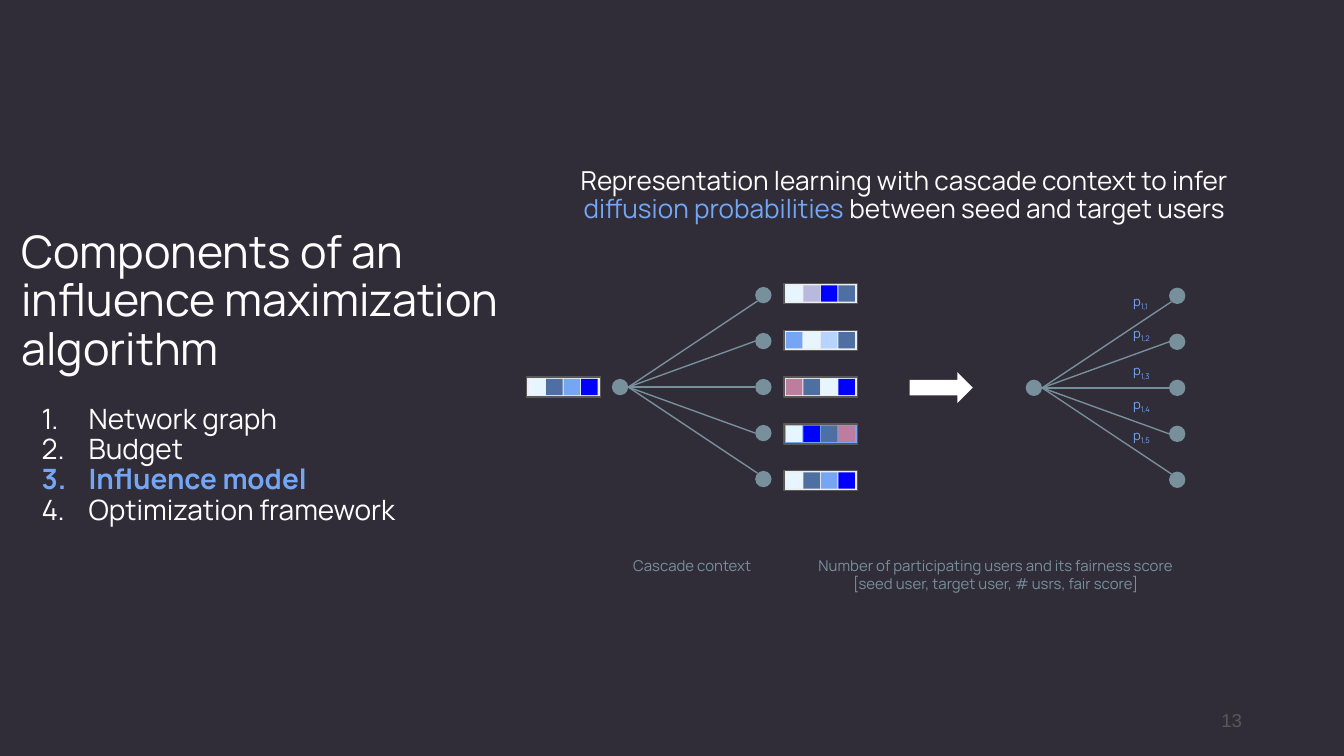
from lxml import etree
from pptx import Presentation
from pptx.dml.color import RGBColor
from pptx.enum import shapes, text
from pptx.oxml import ns
from pptx.util import Pt

WHITE = RGBColor(0xFF, 0xFF, 0xFF)
DARK = RGBColor(0x30, 0x2D, 0x38)
SLATE = RGBColor(0x78, 0x90, 0x9C)
GREY = RGBColor(0x59, 0x59, 0x59)
FRAME = RGBColor(0xEE, 0xEE, 0xEE)
ICE = RGBColor(0xE7, 0xF5, 0xFF)
STEEL = RGBColor(0x4E, 0x6F, 0xA2)
SKY = RGBColor(0x74, 0xA6, 0xF4)
PALE = RGBColor(0xB7, 0xD3, 0xFF)
BLUE = RGBColor(0x00, 0x00, 0xFF)
LILAC = RGBColor(0xB9, 0xB9, 0xDE)
ROSE = RGBColor(0xBC, 0x7D, 0x9E)

# Content
TITLE = "Components of an influence maximization algorithm"
COMPONENTS = ["Network graph", "Budget", "Influence model", "Optimization framework"]
CURRENT = "Influence model"
HEADLINE = [("Representation learning with cascade context to infer ", WHITE),
            ("diffusion probabilities", SKY),
            (" between seed and target users", WHITE)]
SEED_VECTOR = (ICE, STEEL, SKY, BLUE)
TARGET_VECTORS = [  # frame colour, cell colours
    (FRAME, (ICE, LILAC, BLUE, STEEL)),
    (FRAME, (SKY, ICE, PALE, STEEL)),
    (FRAME, (ROSE, STEEL, ICE, BLUE)),
    (SKY, (ICE, BLUE, STEEL, ROSE)),
    (FRAME, (ICE, STEEL, SKY, BLUE)),
]
PROBABILITIES = [("1,1", 157), ("1,2", 174.2), ("1,3", 194.4), ("1,4", 212.4), ("1,5", 229)]
CAPTIONS = [(["Cascade context"], 90.7, text.PP_ALIGN.RIGHT),
            (["Number of participating users and its fairness score",
              "[seed user, target user, # usrs, fair score]"], 247.7, text.PP_ALIGN.CENTER)]

# Geometry in points
MIDDLE = 207.4
DOT = 8.8
DOT_PITCH = 24.64
FAN_WIDTH = 76.8
STRIP_WIDTH, STRIP_HEIGHT, STRIP_PITCH = 39.4, 10.8, 25.05
CELL, CELL_PITCH = 8.8, 9.36
NO_GRID = "{2D5ABB26-0587-4C30-8999-92F81FD0307C}"

deck = Presentation()
deck.slide_width, deck.slide_height = Pt(720), Pt(405)
page = deck.slides.add_slide(deck.slide_layouts[6])
page.background.fill.solid()
page.background.fill.fore_color.rgb = DARK


def add_span(para, words, size, color, name="Manrope", **extra):
    span = para.add_run()
    span.text = words
    for key, value in dict(size=Pt(size), name=name, **extra).items():
        setattr(span.font, key, value)
    span.font.color.rgb = color
    return span


def add_box(left, top, width, height, inset=(0, 0), wrap=True, anchor=text.MSO_ANCHOR.TOP):
    frame = page.shapes.add_textbox(Pt(left), Pt(top), Pt(width), Pt(height)).text_frame
    across, down = map(Pt, inset)
    values = dict(margin_left=across, margin_right=across, margin_top=down,
                  margin_bottom=down, word_wrap=wrap, vertical_anchor=anchor)
    for key, value in values.items():
        setattr(frame, key, value)
    return frame


def add_shape(kind, left, top, width, height, fill, line=None):
    shape = page.shapes.add_shape(kind, Pt(left), Pt(top), Pt(width), Pt(height))
    shape.shadow.inherit = False
    shape.fill.solid()
    shape.fill.fore_color.rgb = fill
    if line is None:
        shape.line.fill.background()
    else:
        shape.line.color.rgb = line
        shape.line.width = Pt(0.75)


def add_number(para, color):
    props = para._p.get_or_add_pPr()
    props.set("marL", str(Pt(36)))
    props.set("indent", str(Pt(-25.2)))
    bullet_color = etree.SubElement(props, ns.qn("a:buClr"))
    etree.SubElement(bullet_color, ns.qn("a:srgbClr"), val=str(color))
    etree.SubElement(props, ns.qn("a:buFont"), typeface="Manrope")
    etree.SubElement(props, ns.qn("a:buAutoNum"), type="arabicPeriod")


def add_dot(x, y):
    add_shape(shapes.MSO_SHAPE.OVAL, x - DOT / 2, y - DOT / 2, DOT, DOT, SLATE)


def add_fan(x, y):
    """One seed dot joined to five target dots."""
    radius = DOT / 2
    targets = [(x + FAN_WIDTH, y + step * DOT_PITCH, step) for step in range(-2, 3)]
    for target_x, target_y, step in targets:
        end_x, end_y = target_x - radius, target_y
        if abs(step) == 2:  # outer lines meet their dot on its diagonal
            end_x = target_x - 0.71 * radius
            end_y = target_y - 0.71 * radius * step / 2
        line = page.shapes.add_connector(shapes.MSO_CONNECTOR.STRAIGHT, Pt(x + radius),
                                         Pt(y), Pt(end_x), Pt(end_y))
        line.line.color.rgb = SLATE
        line.line.width = Pt(0.75)
        etree.SubElement(line._element.spPr, ns.qn("a:effectLst"))
    add_dot(x, y)
    for target_x, target_y, _ in targets:
        add_dot(target_x, target_y)


def add_strip(left, y, frame, colors):
    square = shapes.MSO_SHAPE.RECTANGLE
    add_shape(square, left, y - STRIP_HEIGHT / 2, STRIP_WIDTH, STRIP_HEIGHT, frame, GREY)
    for index, color in enumerate(colors):
        add_shape(square, left + 1.1 + index * CELL_PITCH, y - CELL / 2, CELL, CELL, color)


# Title with numbered components
frame = add_box(6.5, 0, 281.5, 405, (5, 2.9), anchor=text.MSO_ANCHOR.MIDDLE)
para = frame.paragraphs[0]
para.line_spacing = 0.9
add_span(para, TITLE, 24, WHITE)
for index, item in enumerate(COMPONENTS):
    color = SKY if item == CURRENT else WHITE
    para = frame.add_paragraph()
    para.line_spacing = 0.9
    para.space_before = Pt(0 if index else 16.2)
    add_number(para, color)
    add_span(para, item, 15, color, bold=item == CURRENT)

# Headline
para = add_box(282.2, 82.8, 404.6, 45.4, (7.2, 7.2)).paragraphs[0]
para.alignment = text.PP_ALIGN.CENTER
para.line_spacing = 0.9
for words, color in HEADLINE:
    add_span(para, words, 14, color)

# Arrow, fans and vectors
add_shape(shapes.MSO_SHAPE.RIGHT_ARROW, 487.4, 199.4, 33.8, 16.6, WHITE)
add_fan(332.2, MIDDLE)
add_strip(282.2, MIDDLE, FRAME, SEED_VECTOR)
for index, (border, colors) in enumerate(TARGET_VECTORS):
    add_strip(420, MIDDLE + (index - 2) * STRIP_PITCH, border, colors)
add_fan(553.9, MIDDLE + 0.4)

# Diffusion probabilities
for subscript, top in PROBABILITIES:
    para = add_box(607, top, 13, 8.6, wrap=False).paragraphs[0]
    add_span(para, "p", 7, SKY)
    span = add_span(para, subscript, 7, SKY)
    span._r.get_or_add_rPr().set("baseline", "-25000")

# Captions
graphic = page.shapes.add_table(1, len(CAPTIONS), Pt(319), Pt(290.9), Pt(338.4), Pt(26.6))
table = graphic.table
table.first_row = table.horz_banding = False
table._tbl.tblPr.find(ns.qn("a:tableStyleId")).text = NO_GRID
for index, (lines, width, align) in enumerate(CAPTIONS):
    table.columns[index].width = Pt(width)
    cell = table.cell(0, index)
    cell.fill.background()
    for side in ("left", "right", "top", "bottom"):
        setattr(cell, f"margin_{side}", Pt(7.2))
    for number, words in enumerate(lines):
        para = cell.text_frame.add_paragraph() if number else cell.text_frame.paragraphs[0]
        para.alignment = align
        para.line_spacing = 0.9
        add_span(para, words, 8, SLATE)

# Page number
para = add_box(508.3, 375.1, 162, 21.6, (5, 2.9), anchor=text.MSO_ANCHOR.MIDDLE).paragraphs[0]
para.alignment = text.PP_ALIGN.RIGHT
add_span(para, "13", 10, GREY, "Arial")

deck.save("out.pptx")
